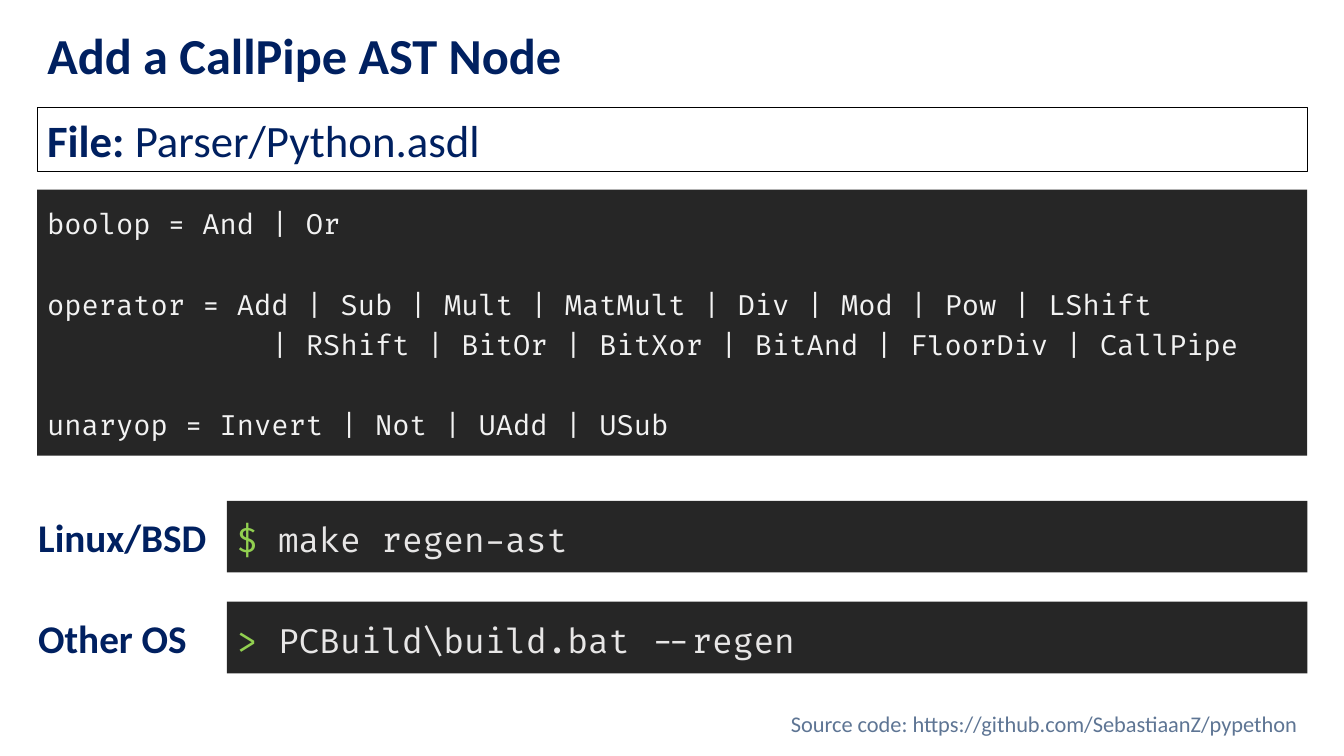
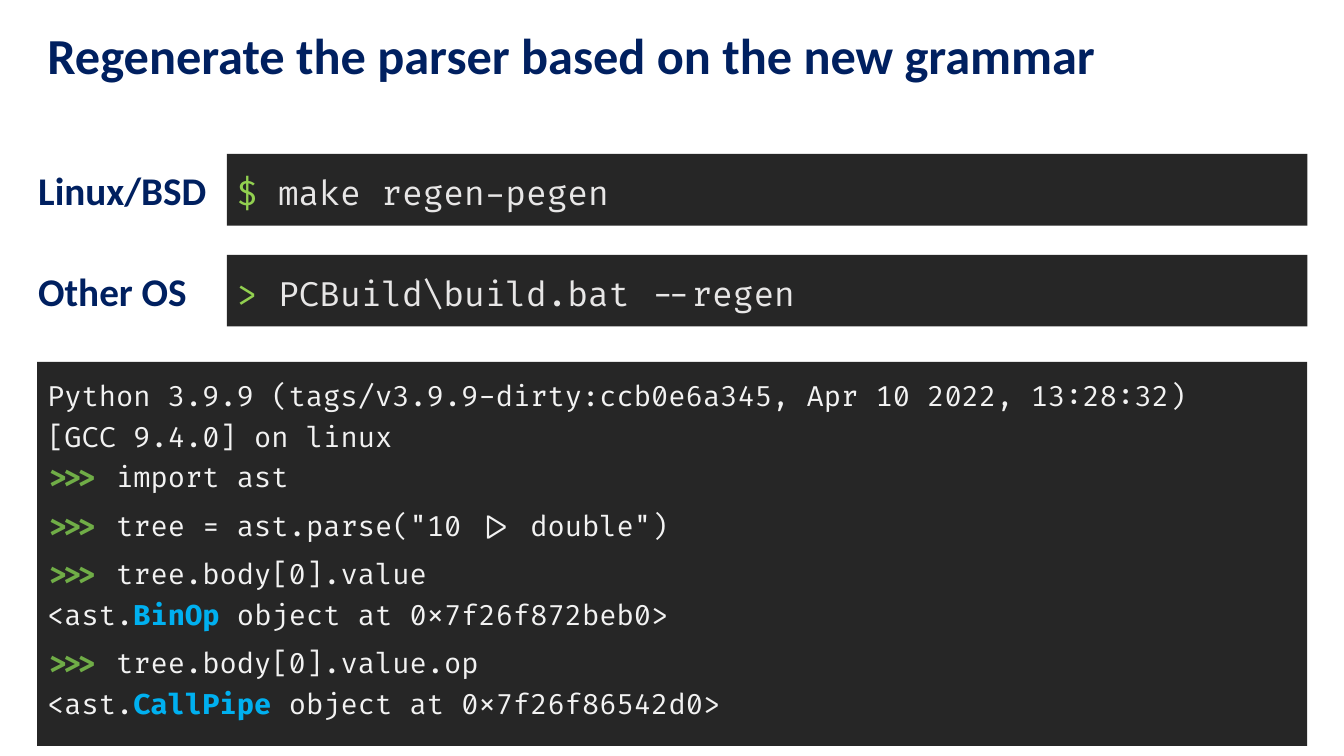
"""Build two slides on adding a CallPipe node and regenerating the parser."""
from pptx import Presentation
from pptx.dml.color import RGBColor
from pptx.enum.text import MSO_ANCHOR as Anchor, MSO_AUTO_SIZE as AutoSize, PP_ALIGN as Align
from pptx.util import Pt


class Theme:
    text_font, code_font = "Calibri", "Fira Code"
    navy, slate, black, panel = "002060", "5E7594", "000000", "262626"
    code, command, prompt = "F2F2F2", "E7E6E6", "92D050"
    shell, highlight = "70AD47", "00B0F0"
    title_size, file_size, label_size = 36, 32, 28
    command_size, code_size, footer_size = 24, 20, 16
    left, width = 26.6, 907.2
    command_left, command_height, command_pitch = 162, 51.2, 72
    code_spacing, code_gap, code_blank = 1.2, 6, 28.8


def write(paragraph, text, size, color, font=Theme.text_font, bold=False):
    run = paragraph.add_run()
    run.text = text
    run.font.name = font
    run.font.size = Pt(size)
    run.font.bold = bold
    run.font.color.rgb = RGBColor.from_string(color)


def add_box(slide, left, top, width, height, fill=None, line=None):
    box = slide.shapes.add_textbox(Pt(left), Pt(top), Pt(width), Pt(height))
    frame = box.text_frame
    frame.word_wrap = True
    if fill:
        box.fill.solid()
        box.fill.fore_color.rgb = RGBColor.from_string(fill)
        frame.margin_top = frame.margin_bottom = Pt(7.2)
    if line:
        box.line.color.rgb = RGBColor.from_string(line)
        box.line.width = Pt(0.75)
    return frame


prompt_run = (">>> ", Theme.shell, True)
pages = [
    {
        "title": "Add a CallPipe AST Node",
        "file": "Parser/Python.asdl",
        "footer": "Source code: https://github.com/SebastiaanZ/pypethon",
        "commands_top": 357.8,
        "make": "make regen-ast",
        "code_top": 135.4,
        "code_height": 190,
        "code": [
            (0, [("boolop = And | Or", Theme.code, False)]),
            (Theme.code_blank, [("operator = Add | Sub | Mult | MatMult | Div | Mod | Pow | LShift", Theme.code, False)]),
            (0, [("             | RShift | BitOr | BitXor | BitAnd | FloorDiv | CallPipe", Theme.code, False)]),
            (Theme.code_blank, [("unaryop = Invert | Not | UAdd | USub", Theme.code, False)]),
        ],
    },
    {
        "title": "Regenerate the parser based on the new grammar",
        "commands_top": 110,
        "make": "make regen-pegen",
        "code_top": 258.5,
        "code_height": 274.3,
        "code": [
            (0, [("Python 3.9.9 (tags/v3.9.9-dirty:ccb0e6a345, Apr 10 2022, 13:28:32)", Theme.code, False)]),
            (0, [("[GCC 9.4.0] on linux", Theme.code, False)]),
            (0, [prompt_run, ("import ast", Theme.code, False)]),
            (Theme.code_gap, [prompt_run, ('tree = ast.parse("10 |> double")', Theme.code, False)]),
            (Theme.code_gap, [prompt_run, ("tree.body[0].value", Theme.code, False)]),
            (0, [("<ast.", Theme.code, False), ("BinOp", Theme.highlight, True),
                 (" object at 0x7f26f872beb0>", Theme.code, False)]),
            (Theme.code_gap, [prompt_run, ("tree.body[0].value.op", Theme.code, False)]),
            (0, [("<ast.", Theme.code, False), ("CallPipe", Theme.highlight, True),
                 (" object at 0x7f26f86542d0>", Theme.code, False)]),
        ],
    },
]

presentation = Presentation()
presentation.slide_width, presentation.slide_height = Pt(960), Pt(540)
title_only = presentation.slide_layouts[5]

for page in pages:
    slide = presentation.slides.add_slide(title_only)
    title = slide.shapes.title
    title.left, title.top = Pt(Theme.left), Pt(18.7)
    title.width, title.height = Pt(Theme.width), Pt(45.4)
    title.text_frame.auto_size = AutoSize.NONE
    title.text_frame.vertical_anchor = Anchor.MIDDLE
    paragraph = title.text_frame.paragraphs[0]
    paragraph.alignment = Align.LEFT
    paragraph.line_spacing = 0.9
    write(paragraph, page["title"], Theme.title_size, Theme.navy, bold=True)

    if "file" in page:
        frame = add_box(slide, Theme.left, 77, Theme.width, 45.4, line=Theme.black)
        paragraph = frame.paragraphs[0]
        write(paragraph, "File: ", Theme.file_size, Theme.navy, bold=True)
        write(paragraph, page["file"], Theme.file_size, Theme.navy)

    frame = add_box(slide, Theme.left, page["code_top"], Theme.width, page["code_height"], fill=Theme.panel)
    for index, (space_before, runs) in enumerate(page["code"]):
        paragraph = frame.add_paragraph() if index else frame.paragraphs[0]
        paragraph.line_spacing = Theme.code_spacing
        if space_before:
            paragraph.space_before = Pt(space_before)
        for text, color, bold in runs:
            write(paragraph, text, Theme.code_size, color, font=Theme.code_font, bold=bold)

    commands = [("Linux/BSD", "$ ", page["make"]), ("Other OS", "> ", r"PCBuild\build.bat --regen")]
    for row, (system, prompt, command) in enumerate(commands):
        top = page["commands_top"] + row * Theme.command_pitch
        label = add_box(slide, 20.2, top + 5.5, 140, 41)
        write(label.paragraphs[0], system, Theme.label_size, Theme.navy, bold=True)
        frame = add_box(slide, Theme.command_left, top, Theme.left + Theme.width - Theme.command_left,
                        Theme.command_height, fill=Theme.panel)
        paragraph = frame.paragraphs[0]
        paragraph.line_spacing = Theme.code_spacing
        write(paragraph, prompt, Theme.command_size, Theme.prompt, font=Theme.code_font)
        write(paragraph, command, Theme.command_size, Theme.command, font=Theme.code_font)

    if "footer" in page:
        frame = add_box(slide, Theme.left, 504, Theme.width, 28.8)
        frame.paragraphs[0].alignment = Align.RIGHT
        write(frame.paragraphs[0], page["footer"], Theme.footer_size, Theme.slate)

presentation.save("out.pptx")
